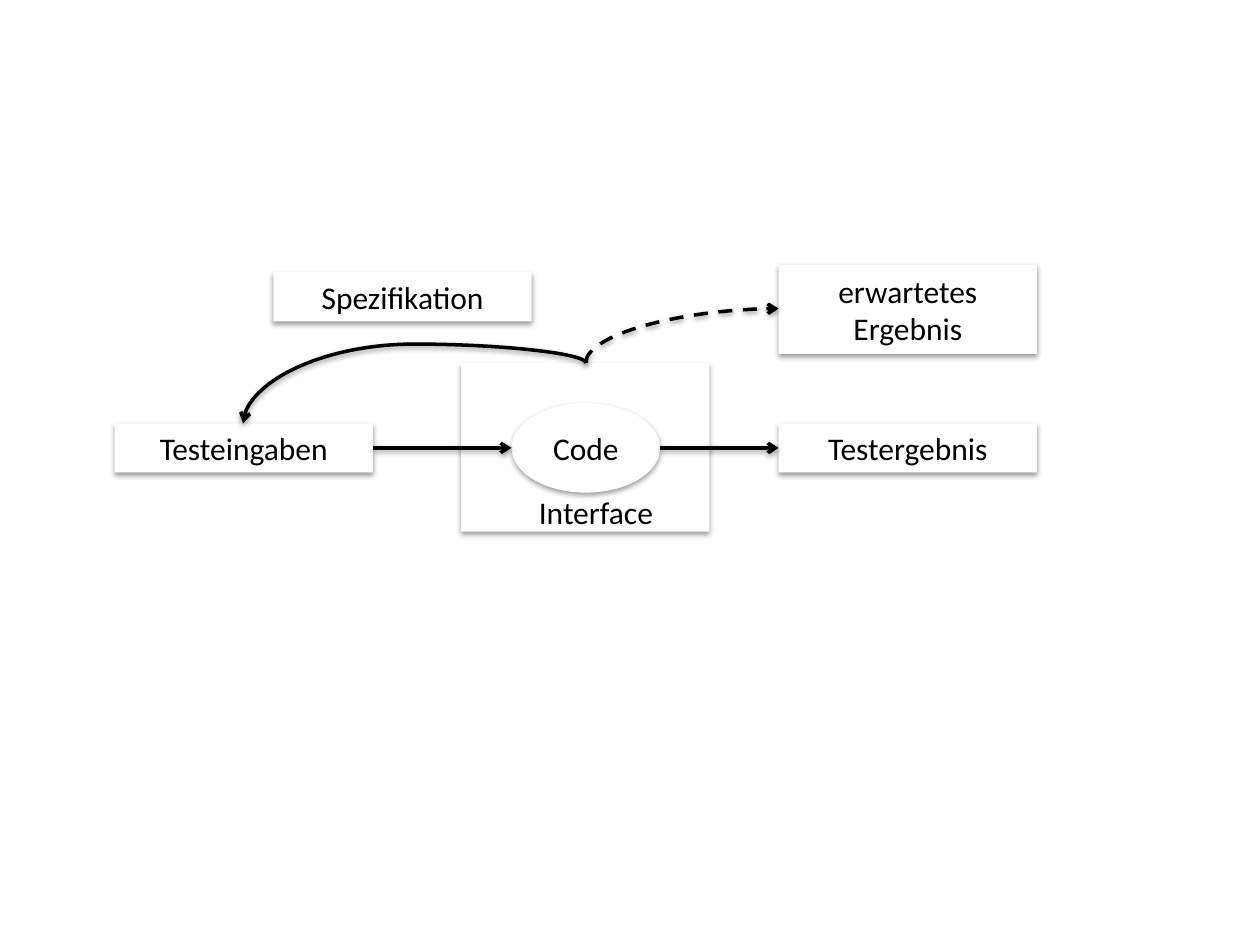
import pptx
import pptx.util
import pptx.dml.color
import pptx.enum.dml
import pptx.enum.shapes
import pptx.enum.text
import pptx.oxml
import pptx.oxml.ns
from pptx.util import Inches

WHITE = pptx.dml.color.RGBColor(0xFF, 0xFF, 0xFF)
BLACK = pptx.dml.color.RGBColor(0x00, 0x00, 0x00)
RECTANGLE = pptx.enum.shapes.MSO_SHAPE.RECTANGLE
OVAL = pptx.enum.shapes.MSO_SHAPE.OVAL
STRAIGHT = pptx.enum.shapes.MSO_CONNECTOR.STRAIGHT
CURVE = pptx.enum.shapes.MSO_CONNECTOR.CURVE
NAMESPACE = pptx.oxml.ns.nsdecls("a")

BOX_WIDTH, BOX_HEIGHT, TALL_HEIGHT = 2.05, 0.39, 0.71
RESULT_LEFT, FLOW_TOP = 6.18, 3.36
NODES = [
    ("Spezifikation", RECTANGLE, 2.17, 2.16, BOX_WIDTH, BOX_HEIGHT),
    ("erwartetes Ergebnis", RECTANGLE, RESULT_LEFT, 2.1, BOX_WIDTH, TALL_HEIGHT),
    ("", RECTANGLE, 3.66, 2.88, 1.97, 1.34),
    ("Code", OVAL, 4.06, 3.2, 1.18, TALL_HEIGHT),
    ("Testeingaben", RECTANGLE, 0.91, FLOW_TOP, BOX_WIDTH, BOX_HEIGHT),
    ("Testergebnis", RECTANGLE, RESULT_LEFT, FLOW_TOP, BOX_WIDTH, BOX_HEIGHT),
]
INTERFACE_LABEL = ("Interface", 3.98, 3.86, 1.5, 0.4)
SPECIFICATION_START = (4.65, 2.88)
CURVES = [
    ((1.93, 3.36), 270, "curvedConnector3", -31200, False),
    ((6.18, 2.45), 90, "curvedConnector2", None, True),
]


def write_text(shape, text):
    frame = shape.text_frame
    frame.word_wrap = True
    frame.vertical_anchor = pptx.enum.text.MSO_ANCHOR.MIDDLE
    paragraph = frame.paragraphs[0]
    paragraph.text = text
    paragraph.alignment = pptx.enum.text.PP_ALIGN.CENTER
    paragraph.font.name = "Calibri"
    paragraph.font.size = pptx.util.Pt(18)
    paragraph.font.color.rgb = BLACK


def add_shadow(effects):
    effects.append(pptx.oxml.parse_xml(
        f'<a:outerShdw {NAMESPACE} blurRad="40000" dist="20000" dir="5400000" rotWithShape="0">'
        '<a:srgbClr val="000000"><a:alpha val="38000"/></a:srgbClr></a:outerShdw>'))


def add_node(slide, text, kind, *bounds):
    shape = slide.shapes.add_shape(kind, *map(Inches, bounds))
    shape.fill.solid()
    shape.fill.fore_color.rgb = WHITE
    shape.line.fill.background()
    shape.shadow.inherit = False
    add_shadow(shape.element.spPr.find(pptx.oxml.ns.qn("a:effectLst")))
    if text:
        write_text(shape, text)
    return shape


def add_arrow(slide, kind, start, end, dashed=False):
    connector = slide.shapes.add_connector(kind, *map(Inches, start + end))
    connector.line.color.rgb = BLACK
    connector.line.width = pptx.util.Pt(2)
    if dashed:
        connector.line.dash_style = pptx.enum.dml.MSO_LINE.DASH
    properties = connector.element.spPr
    line = properties.find(pptx.oxml.ns.qn("a:ln"))
    line.append(pptx.oxml.parse_xml(f'<a:tailEnd {NAMESPACE} type="arrow"/>'))
    effects = pptx.oxml.parse_xml(f"<a:effectLst {NAMESPACE}/>")
    properties.append(effects)
    add_shadow(effects)
    return connector


def add_curve(slide, start, end, rotation, geometry, adjustment, dashed):
    center_x, center_y = (start[0] + end[0]) / 2, (start[1] + end[1]) / 2
    half_width, half_height = abs(end[1] - start[1]) / 2, abs(end[0] - start[0]) / 2
    connector = add_arrow(
        slide, CURVE,
        (center_x + half_width, center_y + half_height),
        (center_x - half_width, center_y - half_height), dashed)
    properties = connector.element.spPr
    properties.find(pptx.oxml.ns.qn("a:xfrm")).set("rot", str(rotation * 60000))
    preset = properties.find(pptx.oxml.ns.qn("a:prstGeom"))
    preset.set("prst", geometry)
    if adjustment is not None:
        guides = preset.find(pptx.oxml.ns.qn("a:avLst"))
        guides.append(pptx.oxml.parse_xml(
            f'<a:gd {NAMESPACE} name="adj1" fmla="val {adjustment}"/>'))


def main():
    presentation = pptx.Presentation()
    presentation.slide_width = Inches(10)
    presentation.slide_height = Inches(7.5)
    slide = presentation.slides.add_slide(presentation.slide_layouts[6])

    nodes = {node[0]: add_node(slide, *node) for node in NODES}

    flow_y = FLOW_TOP + BOX_HEIGHT / 2
    input_arrow = add_arrow(slide, STRAIGHT, (2.96, flow_y), (4.06, flow_y))
    input_arrow.begin_connect(nodes["Testeingaben"], 3)
    output_arrow = add_arrow(slide, STRAIGHT, (5.24, flow_y), (RESULT_LEFT, flow_y))
    output_arrow.end_connect(nodes["Testergebnis"], 1)

    for curve in CURVES:
        add_curve(slide, SPECIFICATION_START, *curve)

    text, *bounds = INTERFACE_LABEL
    write_text(slide.shapes.add_textbox(*map(Inches, bounds)), text)

    presentation.save("out.pptx")


if __name__ == "__main__":
    main()
